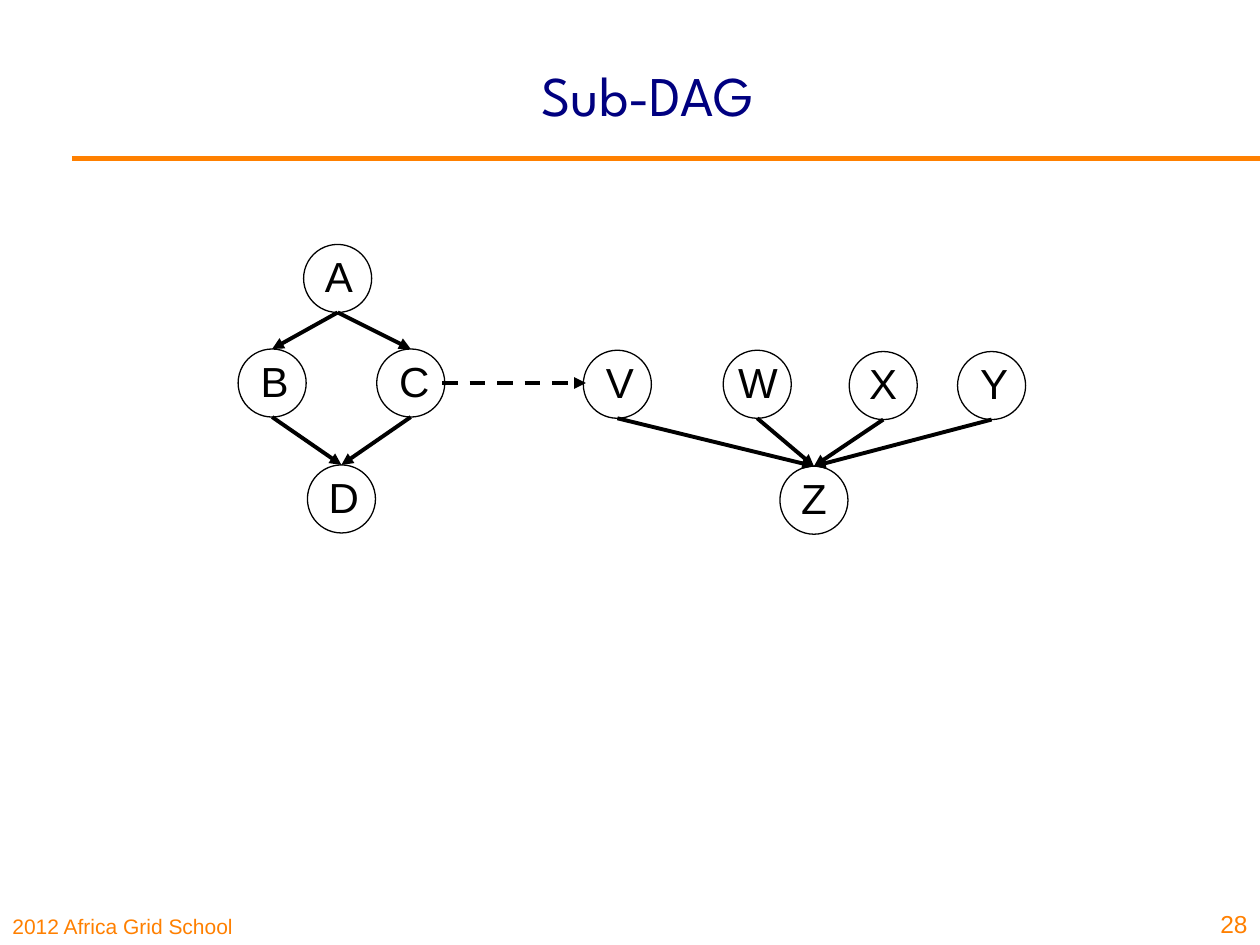
from pptx import Presentation
from pptx.dml.color import RGBColor
from pptx.enum.dml import MSO_LINE
from pptx.enum.shapes import MSO_CONNECTOR as CONN, MSO_SHAPE as SHAPE
from pptx.enum.text import MSO_ANCHOR as ANCHOR, PP_ALIGN as ALIGN
from pptx.oxml.ns import qn
from pptx.util import Inches, Pt
from lxml.etree import SubElement

# Grid of 100 columns by 75 rows
UNIT = Inches(0.1)
COLS, ROWS = 100, 75
ORANGE, NAVY, BLACK = "FF8000", "000080", "000000"
NODE = 5.4

prs = Presentation()
prs.slide_width, prs.slide_height = COLS * UNIT, ROWS * UNIT
s = prs.slides.add_slide(prs.slide_layouts[5])


def write(sp, box, text, size, color, align=ALIGN.LEFT, anchor=ANCHOR.TOP, font="Arial", wrap=True):
    sp.left, sp.top, sp.width, sp.height = (round(v * UNIT) for v in box)
    tf = sp.text_frame
    tf.text, tf.word_wrap, tf.vertical_anchor = text, wrap, anchor
    p = tf.paragraphs[0]
    p.alignment = align
    p.font.size, p.font.name = Pt(size), font
    p.font.color.rgb = RGBColor.from_string(color)


def draw_line(start, end, color, width, arrow=True):
    c = s.shapes.add_connector(CONN.STRAIGHT, *(round(v * UNIT) for v in (*start, *end)))
    c.line.color.rgb = RGBColor.from_string(color)
    c.line.width = Pt(width)
    if arrow:
        SubElement(c.line._get_or_add_ln(), qn("a:tailEnd"), type="triangle")
    SubElement(c._element.spPr, qn("a:effectLst"))
    return c


# Title, rule and footer
write(s.shapes.title, (13.4, 1.2, 76, 12.5), "Sub-DAG", 32, NAVY,
      ALIGN.CENTER, ANCHOR.MIDDLE, "League Spartan")
draw_line((5.7, 12.6), (COLS, 12.6), ORANGE, 3, arrow=False)
for box, text, size, align in [
    ((0, 70.8, 24.8, 4.2), "2012 Africa Grid School", 12, ALIGN.LEFT),
    ((95.4, 70, 4.6, 5), "28", 14, ALIGN.RIGHT),
]:
    write(s.shapes.add_textbox(0, 0, 0, 0), box, text, size, ORANGE, align, ANCHOR.BOTTOM)

# Nodes: left, top, label offset, label width
nodes = {
    "A": (24.1, 19.4, 0.7, 4.2),
    "B": (18.9, 27.7, 0.8, 4.2),
    "C": (29.9, 27.7, 0.8, 4.4),
    "D": (24.4, 36.9, 0.7, 4.4),
    "V": (46.3, 27.8, 0.8, 4.2),
    "W": (57.4, 27.8, 0.2, 5.1),
    "X": (67.4, 27.9, 0.6, 4.2),
    "Y": (76, 27.9, 0.8, 4.2),
    "Z": (61.9, 37, 0.7, 4),
}
for name, (x, y, dx, w) in nodes.items():
    sp = s.shapes.add_shape(SHAPE.OVAL, *(round(v * UNIT) for v in (x, y, NODE, NODE)))
    sp.shadow.inherit = False
    sp.fill.background()
    sp.line.color.rgb = RGBColor.from_string(BLACK)
    sp.line.width = Pt(0.75)
    write(s.shapes.add_textbox(0, 0, 0, 0), (x + dx, y, w, 5), name, 24, BLACK, wrap=False)

# Edges: bottom of the parent to top of the child
for parent, child in ["AB", "AC", "BD", "CD", "VZ", "WZ", "XZ", "YZ"]:
    (x1, y1), (x2, y2) = nodes[parent][:2], nodes[child][:2]
    draw_line((x1 + NODE / 2, y1 + NODE), (x2 + NODE / 2, y2), BLACK, 2.25)

# Dashed link from C to the sub-DAG
mid = nodes["C"][1] + NODE / 2
link = draw_line((nodes["C"][0] + NODE - 0.2, mid), (nodes["V"][0] + 0.2, mid), BLACK, 2.25)
link.line.dash_style = MSO_LINE.DASH

prs.save("out.pptx")
